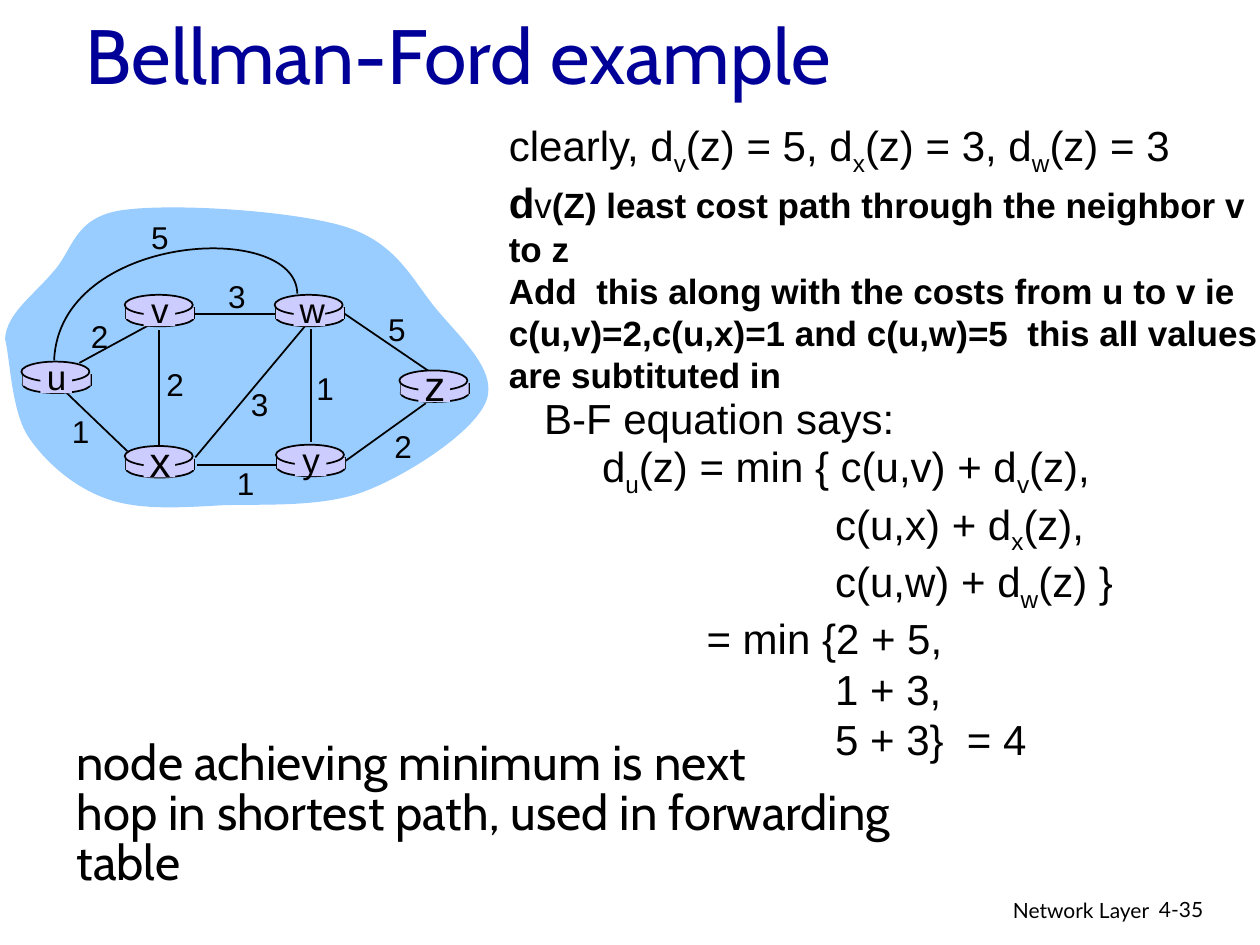
from pptx import Presentation
from pptx.dml.color import RGBColor
from pptx.enum.shapes import MSO_CONNECTOR as Connector, MSO_SHAPE as Shape
from pptx.enum.text import MSO_ANCHOR as Anchor, PP_ALIGN as Align
from pptx.oxml.ns import qn
from pptx.util import Inches, Pt
from lxml import etree

BLACK = RGBColor(0, 0, 0)
NAVY = RGBColor(0x00, 0x00, 0x99)
SKY = RGBColor(0x99, 0xCC, 0xFF)
LILAC = RGBColor(0xCC, 0xCC, 0xFF)

# Content: "_" lowers the character that follows it
TITLE = "Bellman-Ford example"
COSTS = "clearly, d_v(z) = 5, d_x(z) = 3, d_w(z) = 3"
LEAST_COST = [("d", 24, True), ("v", 20, False),
              ("(Z) least cost path through the neighbor v to z", 20, True)]
SUBSTITUTE = ("Add  this along with the costs from u to v ie c(u,v)=2,c(u,x)=1 "
              "and c(u,w)=5  this all values are subtituted in")
EQUATION = [  # text, indent
    ("d_u(z) = min { c(u,v) + d_v(z),", 0),
    ("c(u,x) + d_x(z),", 1.85),
    ("c(u,w) + d_w(z) }", 1.85),
    ("= min {2 + 5,", 0.83),
    ("1 + 3,", 1.85),
    ("5 + 3}  = 4", 1.85),
]
CONCLUSION = ["node achieving minimum is next",
              "hop in shortest path, used in forwarding table"]

# Network: router corner and letter size, link ends, link cost corners
ROUTERS = {"u": (0.17, 2.87, 20), "x": (0.99, 3.54, 24), "v": (0.99, 2.34, 20),
           "w": (2.18, 2.34, 20), "y": (2.19, 3.53, 20), "z": (3.17, 2.94, 24)}
LINKS = [
    (0.63, 2.88, 1.22, 2.56), (2.47, 2.61, 2.47, 3.51), (1.26, 2.62, 1.26, 3.55),
    (1.55, 3.63, 2.42, 2.59), (2.74, 3.66, 3.38, 3.2), (2.2, 3.69, 1.56, 3.69),
    (1.01, 3.58, 0.53, 3.12), (2.18, 2.49, 1.55, 2.49), (3.41, 2.95, 2.72, 2.48),
]
LINK_COSTS = [("2", 0.62, 2.47), ("2", 1.22, 2.85), ("1", 0.47, 3.22), ("3", 1.89, 3.01),
              ("1", 1.78, 3.63), ("1", 2.41, 2.88), ("2", 3.03, 3.34), ("5", 2.98, 2.41),
              ("3", 1.71, 2.15), ("5", 1.1, 1.68)]
# Curves: start point, then two handles and an end point for each segment
CLOUD = [(0.04, 2.69),
         (0.05, 2.49), (0.27, 2.34), (0.42, 2.16), (0.58, 1.99), (0.58, 1.73), (0.96, 1.67),
         (1.35, 1.61), (2.32, 1.67), (2.74, 1.8), (3.15, 1.93), (3.27, 2.22), (3.46, 2.45),
         (3.65, 2.68), (3.95, 2.94), (3.86, 3.18), (3.77, 3.42), (3.27, 3.75), (2.92, 3.89),
         (2.58, 4.03), (2.11, 4), (1.77, 4.01), (1.42, 4.03), (1.11, 4.05), (0.85, 3.96),
         (0.59, 3.87), (0.36, 3.67), (0.22, 3.46), (0.09, 3.25), (0.08, 2.85), (0.04, 2.69)]
LINK_UW = [(2.36, 2.33), (2.35, 1.74), (0.47, 1.85), (0.43, 2.86)]

presentation = Presentation()
presentation.slide_width, presentation.slide_height = Inches(10), Inches(7.5)
slide = presentation.slides.add_slide(presentation.slide_layouts[5])
shapes = slide.shapes


def style(shape, fill=None, line=None):
    shape.shadow.inherit = False
    for part, color in ((shape.fill, fill), (shape.line.fill, line)):
        if color is None:
            part.background()
        else:
            part.solid()
            part.fore_color.rgb = color
    if line is not None:
        shape.line.width = Pt(1)


def add_preset(kind, left, top, width, height, line=None):
    shape = shapes.add_shape(kind, Inches(left), Inches(top), Inches(width), Inches(height))
    style(shape, LILAC, line)


def add_line(x1, y1, x2, y2):
    line = shapes.add_connector(Connector.STRAIGHT, Inches(x1), Inches(y1), Inches(x2), Inches(y2))
    line.line.color.rgb = BLACK
    line.line.width = Pt(1)
    etree.SubElement(line._element.spPr, qn("a:effectLst"))


def add_curve(points, close=False, **colors):
    start, *rest = [(Inches(x), Inches(y)) for x, y in points]
    builder = shapes.build_freeform(*start)
    builder.add_line_segments(rest, close=close)
    shape = builder.convert_to_shape()
    # Join each three straight segments into one Bezier segment
    segments = list(shape._element.iter(qn("a:lnTo")))
    for first in range(0, len(segments), 3):
        curve = etree.Element(qn("a:cubicBezTo"))
        segments[first].addprevious(curve)
        for segment in segments[first:first + 3]:
            curve.append(segment[0])
            segment.getparent().remove(segment)
    style(shape, **colors)


def add_runs(paragraph, text, size=24, font="Arial", bold=False, color=BLACK):
    head, *tails = text.split("_")
    pieces = [(head, False)]
    for tail in tails:
        pieces += [(tail[0], True), (tail[1:], False)]
    for piece, lowered in pieces:
        run = paragraph.add_run()
        run.text = piece
        run.font.size, run.font.name, run.font.bold = Pt(size), font, bold
        run.font.color.rgb = color
        if lowered:
            run._r.get_or_add_rPr().set("baseline", "-25000")


def add_text(paragraphs, left, top, width, height, wrap=False, align=Align.LEFT, spacing=None, **font):
    """Each paragraph is (list of (text, size, bold), indent)."""
    box = shapes.add_textbox(Inches(left), Inches(top), Inches(width), Inches(height))
    frame = box.text_frame
    frame.word_wrap = wrap
    for number, (runs, indent) in enumerate(paragraphs):
        paragraph = frame.add_paragraph() if number else frame.paragraphs[0]
        paragraph.alignment = align
        if spacing:
            paragraph.line_spacing = spacing
        if indent:
            paragraph._p.get_or_add_pPr().set("marL", str(Inches(indent)))
        for text, size, bold in runs:
            add_runs(paragraph, text, size, bold=bold, **font)


def plain(text, size=24, indent=0):
    return [(text, size, False)], indent


# Title
title = shapes.title
title.left, title.top, title.width, title.height = (Inches(n) for n in (0.58, -0.05, 8.5, 0.96))
title.text_frame.vertical_anchor = Anchor.MIDDLE
title.text_frame.paragraphs[0].alignment = Align.LEFT
add_runs(title.text_frame.paragraphs[0], TITLE, 44, "Cabin", color=NAVY)

# Cloud and links
add_curve(CLOUD, close=True, fill=SKY)
for link in LINKS:
    add_line(*link)
add_curve(LINK_UW, line=BLACK)

# Routers: a drum with its letter on a patch
for letter, (left, top, size) in ROUTERS.items():
    add_preset(Shape.OVAL, left + 0.01, top + 0.11, 0.54, 0.14, BLACK)
    for side in (left + 0.01, left + 0.55):
        add_line(side, top + 0.1, side, top + 0.19)
    add_preset(Shape.RECTANGLE, left + 0.01, top + 0.1, 0.54, 0.09)
    add_preset(Shape.OVAL, left, top, 0.54, 0.16, BLACK)
    add_preset(Shape.RECTANGLE, left + 0.15, top + 0.02, 0.25, 0.23)
    height = 0.5 if size == 24 else 0.43
    add_text([plain(letter, size)], left + 0.1, top + 0.115 - height / 2, 0.36, height,
             align=Align.CENTER)
for cost, left, top in LINK_COSTS:
    add_text([plain(cost, 18)], left, top, 0.34, 0.4, align=Align.CENTER)

# Derivation
add_text([plain(COSTS), (LEAST_COST, 0), ([(SUBSTITUTE, 20, True)], 0)],
         3.94, 0.9, 6.34, 2.66, wrap=True)
add_text([plain("B-F equation says:")], 4.22, 3.07, 2.98, 0.5)
add_text([plain(text, indent=indent) for text, indent in EQUATION], 4.68, 3.45, 4.27, 2.5)

# Conclusion and footer
add_text([plain(text, 28) for text in CONCLUSION], 0.51, 5.83, 7.4, 0.9,
         wrap=True, spacing=0.85, font="Cabin")
add_text([plain("Network Layer", 12)], 6.05, 7.07, 3.17, 0.31,
         wrap=True, align=Align.RIGHT, font="Lato")
add_text([plain("4-35", 12)], 9.1, 7.07, 0.74, 0.3, wrap=True, font="Lato")

presentation.save("out.pptx")
